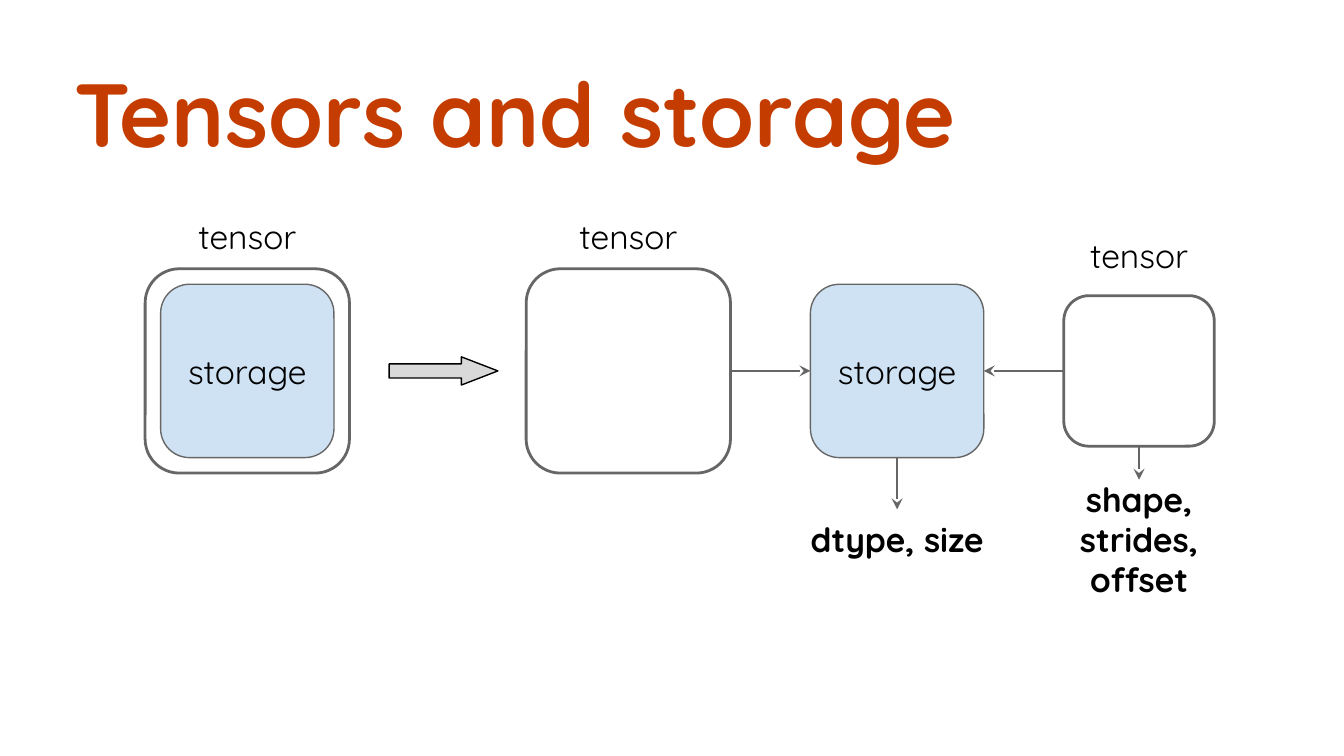
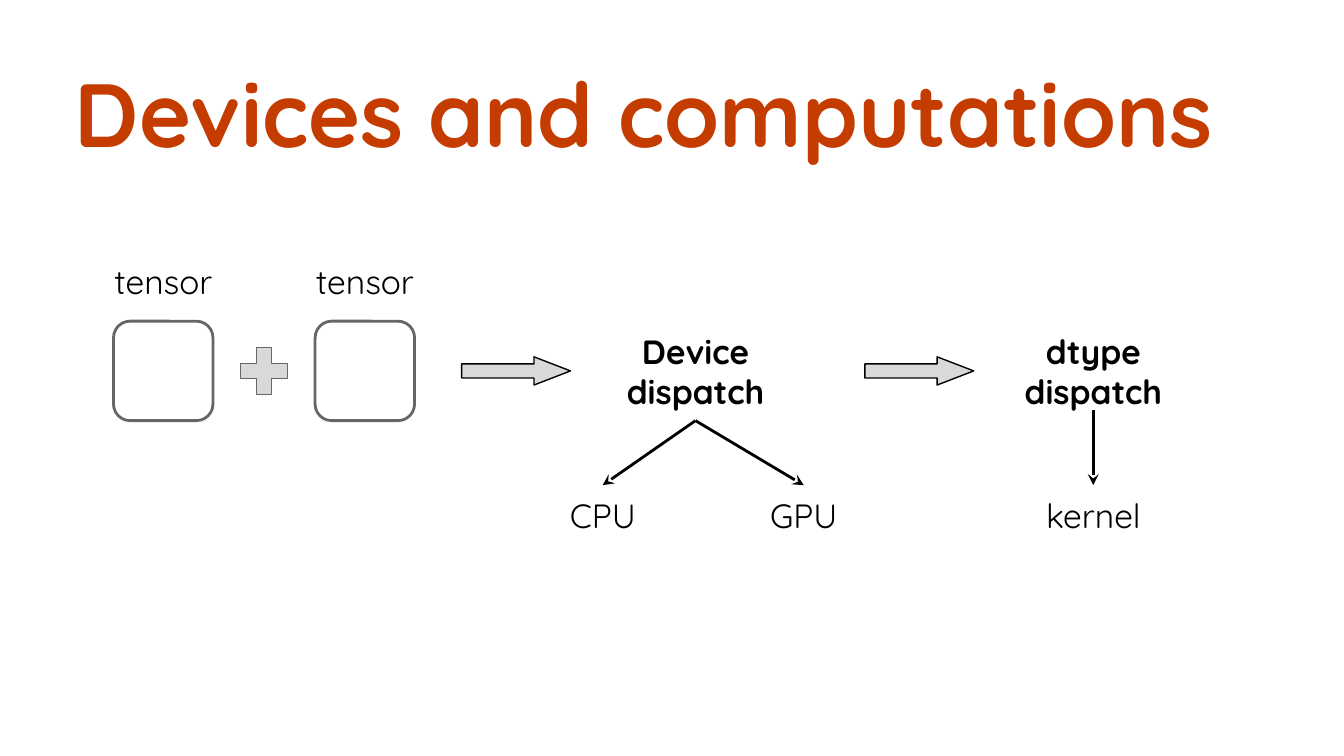
"""Build two slides on tensors: their storage, and how computations are dispatched."""
from dataclasses import dataclass
from typing import Any

import lxml.etree
import pptx
import pptx.dml.color
import pptx.enum.shapes
import pptx.enum.text
import pptx.oxml.ns
import pptx.util

COLOURS = {
    "title": "C43C00",
    "text": "000000",
    "outline": "666666",
    "storage": "CFE2F3",
    "symbol": "D9D9D9",
}

# The grid has 100 columns across the slide; rows are as tall as columns are wide.
SLIDE_WIDTH = pptx.util.Inches(10)
SLIDE_HEIGHT = SLIDE_WIDTH * 9 // 16
CELL = SLIDE_WIDTH / 100
AXIS = 27.6  # row of the main flow
LABEL_WIDTH, LABEL_HEIGHT = 15.2, 4.4
TENSOR, STORAGE, VIEW, OPERAND = 15.2, 12.9, 11.2, 7.4  # box sides
THIN, THICK = 0.75, 1.5  # line widths in points

SHAPES = pptx.enum.shapes.MSO_SHAPE
ALIGN = pptx.enum.text.PP_ALIGN
ANCHOR = pptx.enum.text.MSO_ANCHOR
INSET = pptx.util.Inches(0.1)
FRAME_FORMAT = {
    "word_wrap": True,
    "auto_size": pptx.enum.text.MSO_AUTO_SIZE.NONE,
    "margin_left": INSET,
    "margin_right": INSET,
    "margin_top": INSET,
    "margin_bottom": INSET,
}
TITLE_FONT = {"name": "Quicksand", "size": pptx.util.Pt(48), "bold": True}
LABEL_FONT = {"name": "Quicksand", "size": pptx.util.Pt(18)}


@dataclass(frozen=True)
class Label:
    """Centred text around a grid point."""
    text: str
    column: float
    row: float
    bold: bool = False
    height: float = LABEL_HEIGHT


@dataclass(frozen=True)
class Symbol:
    """A preset shape centred on the main flow."""
    kind: Any
    column: float
    width: float
    height: float
    fill: str = ""
    outline: str = "outline"
    weight: float = THIN
    adjustments: tuple[float, ...] = ()


@dataclass(frozen=True)
class Arrow:
    """A line from one grid point to another, pointed at its end."""
    start: tuple[float, float]
    end: tuple[float, float]
    weight: float = THIN
    colour: str = "outline"


def cells(count: float) -> int:
    """Turn a number of grid cells into a length."""
    return round(count * CELL)


def rgb(name: str) -> pptx.dml.color.RGBColor:
    """Look up a colour by its role."""
    return pptx.dml.color.RGBColor.from_string(COLOURS[name])


def apply(target: Any, values: dict[str, Any]) -> None:
    """Set every attribute named in a dict of format values."""
    for name, value in values.items():
        setattr(target, name, value)


def write(frame: Any, text: str, font: dict[str, Any], colour: str,
          align: Any, anchor: Any) -> None:
    """Fill a text frame and format all its runs."""
    apply(frame, {**FRAME_FORMAT, "vertical_anchor": anchor})
    frame.text = text
    for paragraph in frame.paragraphs:
        paragraph.alignment = align
        for run in paragraph.runs:
            apply(run.font, font)
            run.font.color.rgb = rgb(colour)


def draw_title(slide: Any, text: str) -> None:
    """Place and style the slide's title."""
    title = slide.shapes.title
    apply(title, {"left": cells(4.55), "top": cells(3.3),
                  "width": cells(92.5), "height": cells(14.8)})
    write(title.text_frame, text, TITLE_FONT, "title", ALIGN.LEFT, ANCHOR.TOP)


def draw_label(slide: Any, label: Label) -> None:
    """Draw a label around its centre."""
    box = slide.shapes.add_textbox(
        cells(label.column - LABEL_WIDTH / 2), cells(label.row - label.height / 2),
        cells(LABEL_WIDTH), cells(label.height))
    write(box.text_frame, label.text, {**LABEL_FONT, "bold": label.bold},
          "text", ALIGN.CENTER, ANCHOR.MIDDLE)


def draw_symbol(slide: Any, symbol: Symbol) -> None:
    """Draw a box, block arrow or plus on the main flow."""
    shape = slide.shapes.add_shape(
        symbol.kind,
        cells(symbol.column - symbol.width / 2), cells(AXIS - symbol.height / 2),
        cells(symbol.width), cells(symbol.height))
    shape.shadow.inherit = False
    for index, value in enumerate(symbol.adjustments):
        shape.adjustments[index] = value
    if symbol.fill:
        shape.fill.solid()
        shape.fill.fore_color.rgb = rgb(symbol.fill)
    else:
        shape.fill.background()
    shape.line.color.rgb = rgb(symbol.outline)
    shape.line.width = pptx.util.Pt(symbol.weight)


def draw_arrow(slide: Any, arrow: Arrow) -> None:
    """Draw a connector with a stealth head and no shadow."""
    connector = slide.shapes.add_connector(
        pptx.enum.shapes.MSO_CONNECTOR.STRAIGHT,
        *(cells(place) for place in arrow.start + arrow.end))
    connector.line.color.rgb = rgb(arrow.colour)
    connector.line.width = pptx.util.Pt(arrow.weight)
    qn = pptx.oxml.ns.qn
    properties = connector.element.spPr
    lxml.etree.SubElement(properties.find(qn("a:ln")), qn("a:tailEnd"), type="stealth")
    lxml.etree.SubElement(properties, qn("a:effectLst"))


def box(column: float, side: float, fill: str = "", weight: float = THICK) -> Symbol:
    """Describe a square box with rounded corners."""
    return Symbol(SHAPES.ROUNDED_RECTANGLE, column, side, side, fill,
                  weight=weight, adjustments=(0.167,))


def storage(column: float) -> Symbol:
    """Describe a filled storage box."""
    return box(column, STORAGE, "storage", THIN)


def step(column: float) -> Symbol:
    """Describe a block arrow to the next stage."""
    return Symbol(SHAPES.RIGHT_ARROW, column, 8.1, 2.1, "symbol", "text",
                  adjustments=(0.5, 1.296))


DRAWERS = {Label: draw_label, Symbol: draw_symbol, Arrow: draw_arrow}


def add_slide(deck: Any, title: str, items: list[Any]) -> None:
    """Add a titled slide and draw its items from back to front."""
    slide = deck.slides.add_slide(deck.slide_layouts[5])
    draw_title(slide, title)
    for item in items:
        DRAWERS[type(item)](slide, item)


def storage_items() -> list[Any]:
    """List the parts of the tensor and storage diagram."""
    whole, split, shared, view = 18.4, 46.75, 66.75, 84.75
    label_row = 17.6
    shared_bottom, view_bottom = AXIS + STORAGE / 2, AXIS + VIEW / 2
    return [
        box(whole, TENSOR),
        storage(whole),
        Label("storage", whole, AXIS),
        Label("tensor", whole, label_row),
        step(33),
        box(split, TENSOR),
        Label("tensor", split, label_row),
        storage(shared),
        Label("storage", shared, AXIS),
        Arrow((split + TENSOR / 2, AXIS), (shared - STORAGE / 2, AXIS), THICK),
        Label("dtype, size", shared, 40.1, bold=True),
        Arrow((shared, shared_bottom), (shared, 37.9)),
        box(view, VIEW),
        Label("tensor", view, 19),
        Arrow((view - VIEW / 2, AXIS), (shared + STORAGE / 2, AXIS)),
        Label("shape, strides,\noffset", view, 40.1, bold=True, height=8.7),
        Arrow((view, view_bottom), (view, 35.7)),
    ]


def dispatch_items() -> list[Any]:
    """List the parts of the dispatch diagram."""
    operands = (12.15, 27.15)
    device, dtype = 51.75, 81.35
    targets = {"CPU": 44.85, "GPU": 59.8}
    target_top = 36.1
    target_row = target_top + LABEL_HEIGHT / 2
    items: list[Any] = []
    for column in operands:
        items += [box(column, OPERAND), Label("tensor", column, 20.9)]
    items += [
        Symbol(SHAPES.MATH_PLUS, sum(operands) / 2, 4.8, 4.8, "symbol",
               adjustments=(0.235,)),
        step(38.4),
        Label("Device dispatch", device, AXIS, bold=True, height=7.4),
        step(68.4),
        Label("dtype dispatch", dtype, AXIS, bold=True, height=5.9),
    ]
    for name, column in targets.items():
        items += [Label(name, column, target_row),
                  Arrow((device, 31.3), (column, target_top), THICK, "text")]
    items += [Label("kernel", dtype, target_row),
              Arrow((dtype, 30.5), (dtype, target_top), THICK, "text")]
    return items


def main() -> None:
    """Build and save the deck."""
    deck = pptx.Presentation()
    apply(deck, {"slide_width": SLIDE_WIDTH, "slide_height": SLIDE_HEIGHT})
    add_slide(deck, "Tensors and storage", storage_items())
    add_slide(deck, "Devices and computations", dispatch_items())
    deck.save("out.pptx")


main()
